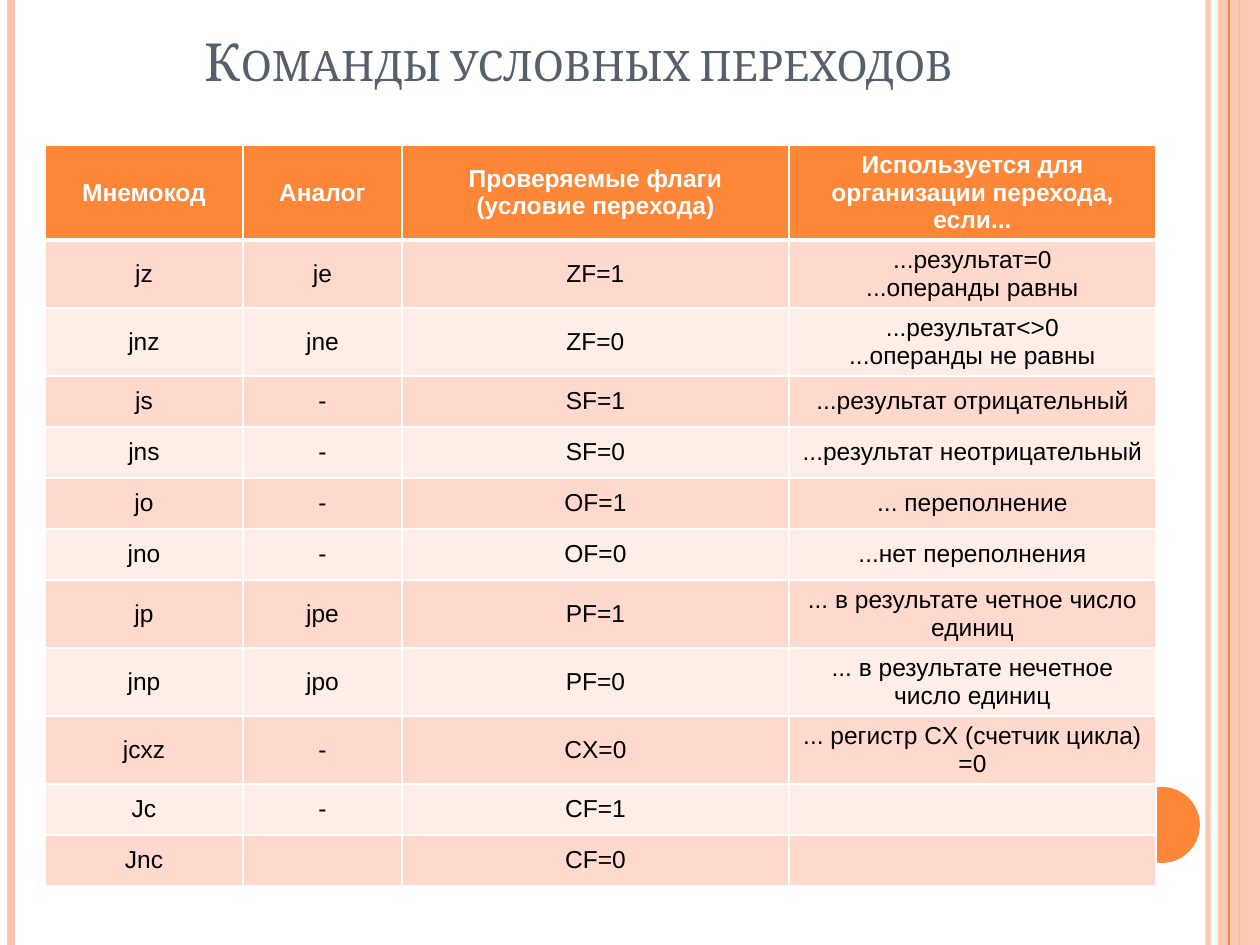
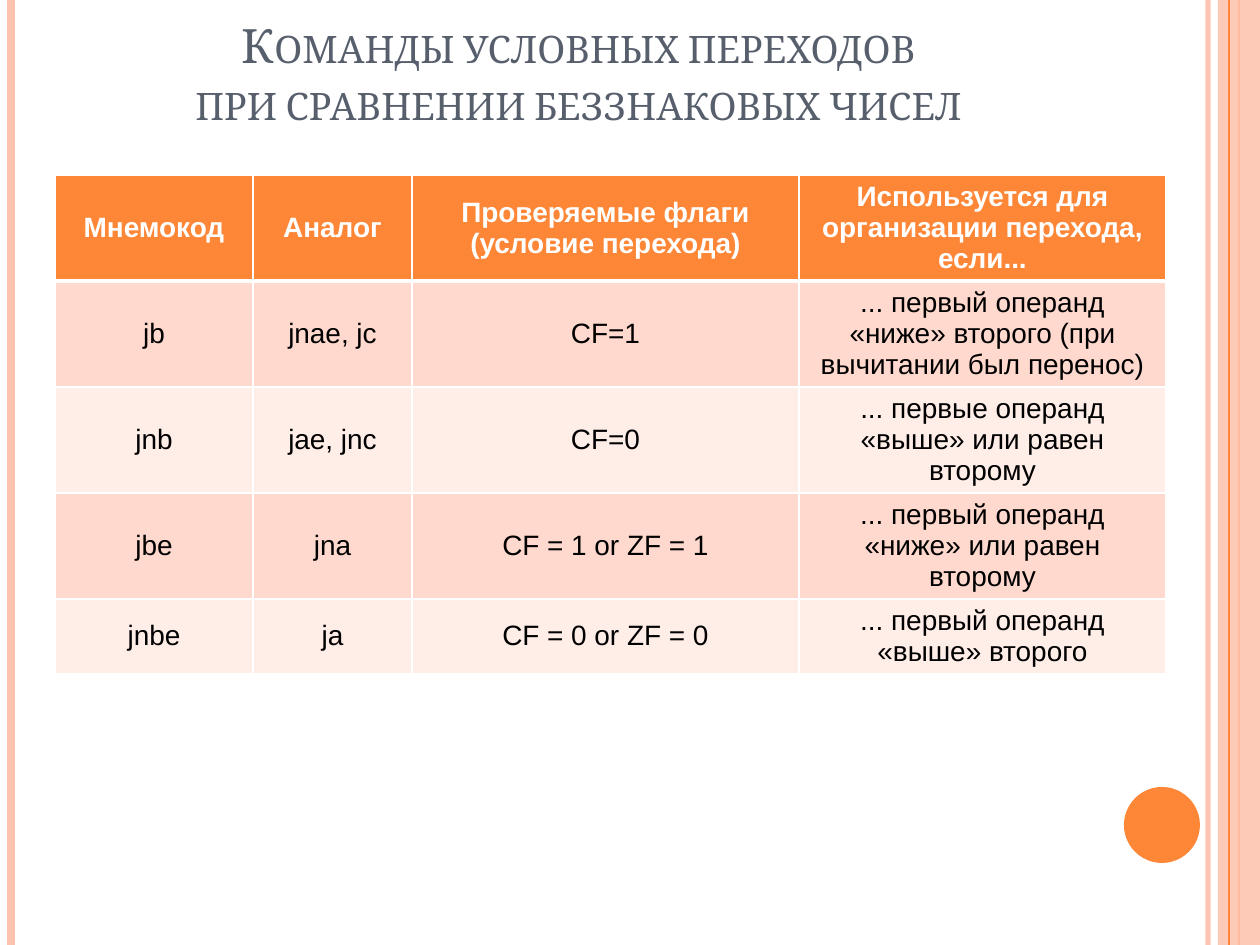
from dataclasses import dataclass

from lxml.etree import SubElement
from pptx import Presentation
from pptx.dml.color import RGBColor
from pptx.enum.shapes import MSO_CONNECTOR, MSO_SHAPE
from pptx.enum.text import MSO_ANCHOR, PP_ALIGN
from pptx.oxml.ns import qn
from pptx.slide import Slide
from pptx.table import _Cell
from pptx.text.text import _Paragraph
from pptx.util import Emu, Pt

PX_PER_INCH = 126
SLIDE_W, SLIDE_H = 1260, 945
COLORS = {
    "white": "FFFFFF",
    "black": "000000",
    "orange": "FE8637",
    "peach": "FEC3AE",
    "title": "575F6D",
    "row_dark": "FFD9CE",
    "row_light": "FFEDE8",
}
TITLE_FONT, TABLE_FONT = "Cambria", "Arial"
COL_WIDTHS = (198, 159, 387, 367)
HEADER = (
    "Мнемокод",
    "Аналог",
    "Проверяемые флаги (условие перехода)",
    "Используется для организации перехода, если...",
)
HEADER_LINES = 3


@dataclass(frozen=True)
class Stripe:
    x: int
    color: str
    width: float
    opacity: int = 100


@dataclass(frozen=True)
class JumpSlide:
    title: str
    title_size: int
    title_top: int
    title_h: int
    table_left: int
    table_top: int
    text_size: int
    heights: dict[int, int]  # row height by number of text lines
    row_lines: tuple[int, ...]
    rows: tuple[tuple[str, str, str, str], ...]


BACK_STRIPES = (
    Stripe(1208, "peach", 3, 93),
    Stripe(11, "peach", 4.5),
    Stripe(1239, "orange", 1.5),
)
FRONT_STRIPE = Stripe(1229, "orange", 0.75)

SLIDES = (
    JumpSlide(
        "Команды условных переходов", 30, 0, 97, 45, 145, 14,
        {1: 51, 2: 68, 3: 95}, (2, 2, 1, 1, 1, 1, 2, 2, 2, 1, 1),
        (
            ("jz", "je", "ZF=1", "...результат=0\n...операнды равны"),
            ("jnz", "jne", "ZF=0", "...результат<>0\n...операнды не равны"),
            ("js", "-", "SF=1", "...результат отрицательный"),
            ("jns", "-", "SF=0", "...результат неотрицательный"),
            ("jo", "-", "OF=1", "... переполнение"),
            ("jno", "-", "OF=0", "...нет переполнения"),
            ("jp", "jpe", "PF=1", "... в результате четное число единиц"),
            ("jnp", "jpo", "PF=0", "... в результате нечетное число единиц"),
            ("jcxz", "-", "CX=0", "... регистр CX (счетчик цикла) =0"),
            ("Jc", "-", "CF=1", ""),
            ("Jnc", "", "CF=0", ""),
        ),
    ),
    JumpSlide(
        "Команды условных переходов\nпри сравнении беззнаковых чисел",
        27, 16, 119, 55, 175, 16,
        {2: 75, 3: 106}, (3, 3, 3, 2),
        (
            ("jb", "jnae, jc", "CF=1",
             "... первый операнд «ниже» второго (при вычитании был перенос)"),
            ("jnb", "jae, jnc", "CF=0", "... первые операнд «выше» или равен второму"),
            ("jbe", "jna", "CF = 1 or ZF = 1",
             "... первый операнд «ниже» или равен второму"),
            ("jnbe", "ja", "CF = 0 or ZF = 0", "... первый операнд «выше» второго"),
        ),
    ),
)


def px(n: int) -> Emu:
    return Emu(round(n * 914400 / PX_PER_INCH))


def rgb(name: str) -> RGBColor:
    return RGBColor.from_string(COLORS[name])


def set_opacity(sp_pr, percent: int) -> None:
    """Apply opacity to the first colour found in the shape properties."""
    color = sp_pr.find(".//" + qn("a:srgbClr"))
    SubElement(color, qn("a:alpha"), val=str(percent * 1000))


def add_stripe(s: Slide, stripe: Stripe) -> None:
    x = px(stripe.x)
    line = s.shapes.add_connector(MSO_CONNECTOR.STRAIGHT, x, 0, x, px(SLIDE_H))
    line.line.color.rgb = rgb(stripe.color)
    line.line.width = Pt(stripe.width)
    sp_pr = line._element.spPr
    if stripe.opacity < 100:
        set_opacity(sp_pr, stripe.opacity)
    SubElement(sp_pr, qn("a:effectLst"))


def add_filled(s: Slide, kind: MSO_SHAPE, box: tuple[int, int, int, int],
               color: str, opacity: int = 100) -> None:
    sp = s.shapes.add_shape(kind, *map(px, box))
    sp.shadow.inherit = False
    sp.fill.solid()
    sp.fill.fore_color.rgb = rgb(color)
    sp.line.fill.background()
    if opacity < 100:
        set_opacity(sp._element.spPr, opacity)


def add_decor(s: Slide) -> None:
    for stripe in BACK_STRIPES:
        add_stripe(s, stripe)
    add_filled(s, MSO_SHAPE.RECTANGLE, (1218, 0, 42, SLIDE_H), "peach", 87)
    add_stripe(s, FRONT_STRIPE)
    add_filled(s, MSO_SHAPE.OVAL, (1124, 787, 76, 76), "orange")


def add_run(p: _Paragraph, text: str, font: str, size: int, color: str,
            bold: bool = False):
    r = p.add_run()
    r.text = text
    r.font.name = font
    r.font.size = Pt(size)
    r.font.bold = bold
    r.font.color.rgb = rgb(color)
    return r


def add_title(s: Slide, spec: JumpSlide) -> None:
    box = s.shapes.add_textbox(px(64), px(spec.title_top), px(1029), px(spec.title_h))
    tf = box.text_frame
    tf.word_wrap = True
    tf.vertical_anchor = MSO_ANCHOR.BOTTOM
    tf.margin_left = tf.margin_right = tf.margin_top = 0
    tf.margin_bottom = px(5)
    p = tf.paragraphs[0]
    p.alignment = PP_ALIGN.CENTER
    for i, text in enumerate(spec.title.split("\n")):
        if i:
            p.add_line_break()
        r = add_run(p, text, TITLE_FONT, spec.title_size, "title")
        r.font._element.set("cap", "small")


def set_borders(cell: _Cell, top: int, bottom: int) -> None:
    tc_pr = cell._tc.get_or_add_tcPr()
    for side, width in (("L", 1), ("R", 1), ("T", top), ("B", bottom)):
        ln = SubElement(tc_pr, qn(f"a:ln{side}"), w=str(Pt(width)))
        fill = SubElement(ln, qn("a:solidFill"))
        SubElement(fill, qn("a:srgbClr"), val=COLORS["white"])


def fill_cell(cell: _Cell, text: str, row: int, size: int) -> None:
    is_header = row == 0
    set_borders(cell, 3 if row == 1 else 1, 3 if is_header else 1)
    cell.fill.solid()
    band = "row_dark" if row % 2 else "row_light"
    cell.fill.fore_color.rgb = rgb("orange" if is_header else band)
    cell.vertical_anchor = MSO_ANCHOR.MIDDLE
    cell.margin_top = cell.margin_bottom = px(1)
    if not text:
        return
    tf = cell.text_frame
    for i, line in enumerate(text.split("\n")):
        p = tf.add_paragraph() if i else tf.paragraphs[0]
        p.alignment = PP_ALIGN.CENTER
        add_run(p, line, TABLE_FONT, size, "white" if is_header else "black", is_header)


def add_jump_table(s: Slide, spec: JumpSlide) -> None:
    rows = (HEADER, *spec.rows)
    heights = [spec.heights[n] for n in (HEADER_LINES, *spec.row_lines)]
    table = s.shapes.add_table(
        len(rows), len(HEADER), px(spec.table_left), px(spec.table_top),
        px(sum(COL_WIDTHS)), px(sum(heights)),
    ).table
    for col, width in zip(table.columns, COL_WIDTHS):
        col.width = px(width)
    for i, (texts, height) in enumerate(zip(rows, heights)):
        table.rows[i].height = px(height)
        for j, text in enumerate(texts):
            fill_cell(table.cell(i, j), text, i, spec.text_size)


def main() -> None:
    prs = Presentation()
    prs.slide_width, prs.slide_height = px(SLIDE_W), px(SLIDE_H)
    for spec in SLIDES:
        s = prs.slides.add_slide(prs.slide_layouts[6])
        add_decor(s)
        add_title(s, spec)
        add_jump_table(s, spec)
    prs.save("out.pptx")


if __name__ == "__main__":
    main()
